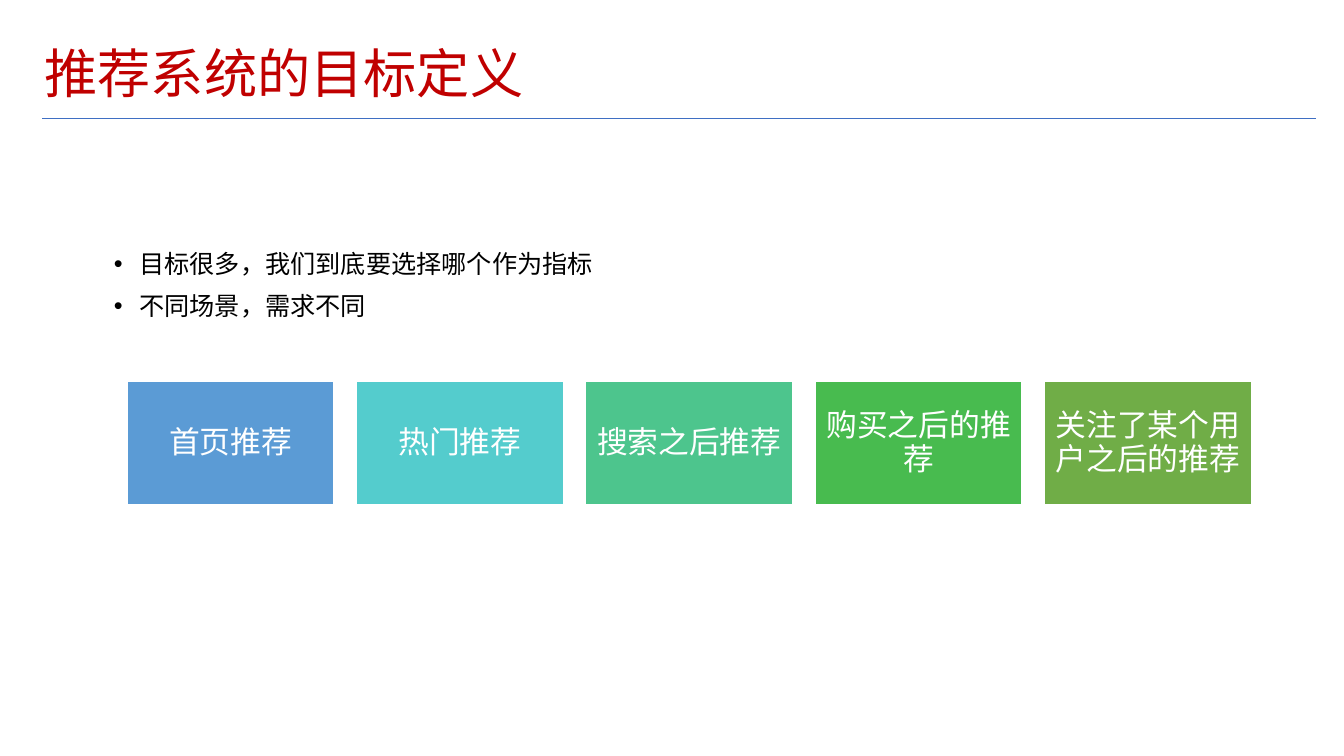
"""Build the slide on choosing goals for a recommender system."""
from lxml.etree import SubElement
from pptx import Presentation
from pptx.dml.color import RGBColor
from pptx.enum.shapes import MSO_CONNECTOR, MSO_SHAPE
from pptx.enum.text import MSO_ANCHOR, MSO_AUTO_SIZE, PP_ALIGN
from pptx.oxml.ns import qn
from pptx.util import Cm, Pt

TITLE = "推荐系统的目标定义"
POINTS = ["目标很多，我们到底要选择哪个作为指标", "不同场景，需求不同"]
SCENES = [
    ("首页推荐", "5B9BD5"),
    ("热门推荐", "54CCCD"),
    ("搜索之后推荐", "4DC58D"),
    ("购买之后的推荐", "48BB4F"),
    ("关注了某个用户之后的推荐", "70AD47"),
]
FONT = "Calibri"
SCENE_LEFT, SCENE_TOP, SCENE_PITCH = 3.18, 9.6, 5.78
SCENE_WIDTH, SCENE_HEIGHT = 5.26, 3.15


def color(hex_code):
    return RGBColor.from_string(hex_code)


def place(shape, left, top, width, height):
    shape.left, shape.top = Cm(left), Cm(top)
    shape.width, shape.height = Cm(width), Cm(height)


def write(shape, lines, size, hex_code, align, anchor, inset):
    frame = shape.text_frame
    frame.text = "\n".join(lines)
    frame.word_wrap = True
    frame.auto_size = MSO_AUTO_SIZE.NONE
    frame.vertical_anchor = anchor
    frame.margin_left = frame.margin_right = Cm(inset)
    frame.margin_top = frame.margin_bottom = Cm(inset)
    for index, paragraph in enumerate(frame.paragraphs):
        paragraph.alignment = align
        paragraph.line_spacing = 0.9
        paragraph.space_before = Pt(10 if index else 0)
        paragraph.space_after = Pt(0)
        paragraph.font.name = FONT
        paragraph.font.size = Pt(size)
        paragraph.font.color.rgb = color(hex_code)


def add_rule(page):
    rule = page.shapes.add_connector(
        MSO_CONNECTOR.STRAIGHT, Cm(1.06), Cm(2.98), Cm(33.17), Cm(2.98))
    rule.line.color.rgb = color("3F6FC3")
    rule.line.width = Pt(0.75)
    SubElement(rule.element.spPr, qn("a:effectLst"))


def add_scene(page, index, label, fill):
    box = page.shapes.add_shape(
        MSO_SHAPE.RECTANGLE, Cm(SCENE_LEFT + index * SCENE_PITCH), Cm(SCENE_TOP),
        Cm(SCENE_WIDTH), Cm(SCENE_HEIGHT))
    box.shadow.inherit = False
    box.fill.solid()
    box.fill.fore_color.rgb = color(fill)
    box.line.color.rgb = color("FFFFFF")
    box.line.width = Pt(2)
    write(box, [label], 22, "FFFFFF", PP_ALIGN.CENTER, MSO_ANCHOR.MIDDLE, 0.23)


def main():
    deck = Presentation()
    deck.slide_width, deck.slide_height = Cm(33.87), Cm(19.05)
    page = deck.slides.add_slide(deck.slide_layouts[1])
    add_rule(page)

    title, body = page.placeholders
    place(title, 0.99, 1.02, 28.27, 1.8)
    write(title, [TITLE], 38, "C00000", PP_ALIGN.LEFT, MSO_ANCHOR.MIDDLE, 0.13)
    place(body, 2.74, 6.22, 29.21, 5.56)
    write(body, POINTS, 18, "000000", PP_ALIGN.LEFT, MSO_ANCHOR.TOP, 0.13)
    for paragraph in body.text_frame.paragraphs:
        properties = paragraph._p.get_or_add_pPr()
        properties.set("marL", str(Cm(0.64)))
        properties.set("indent", str(-Cm(0.64)))

    for index, (label, fill) in enumerate(SCENES):
        add_scene(page, index, label, fill)
    deck.save("out.pptx")


if __name__ == "__main__":
    main()
